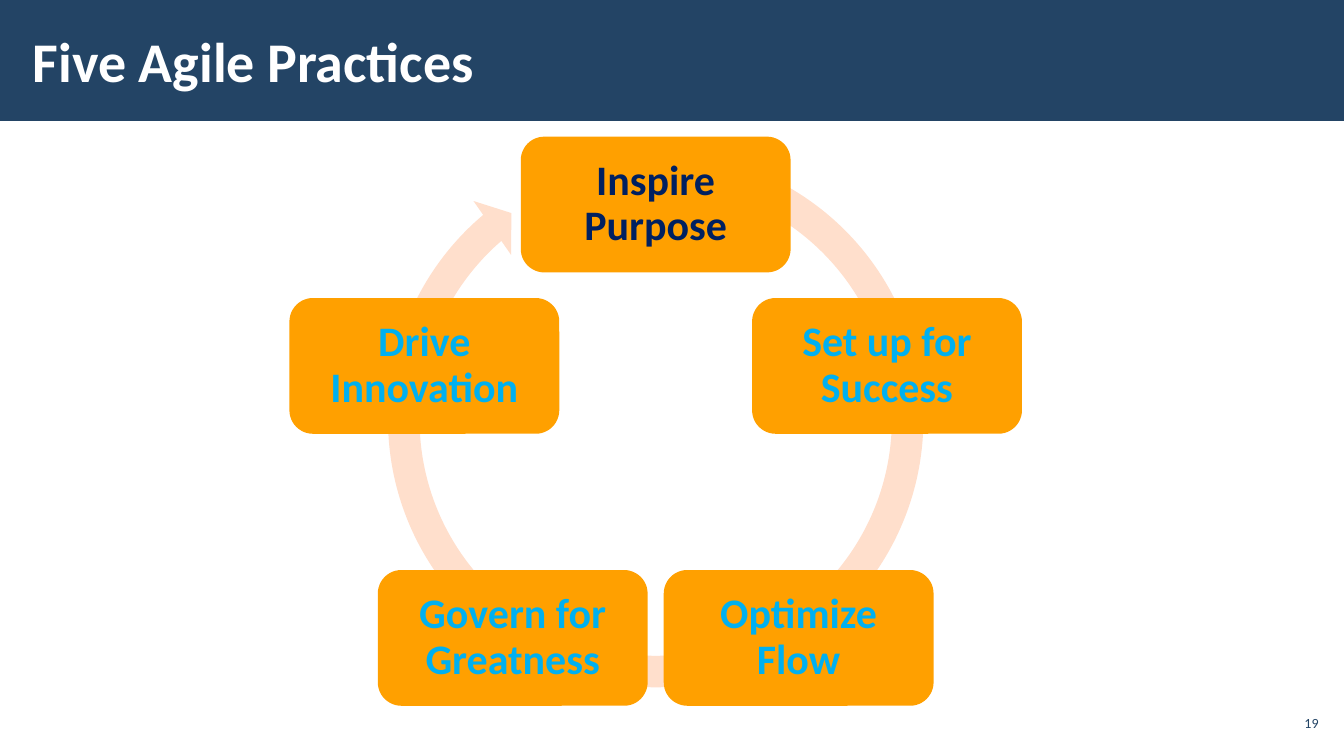
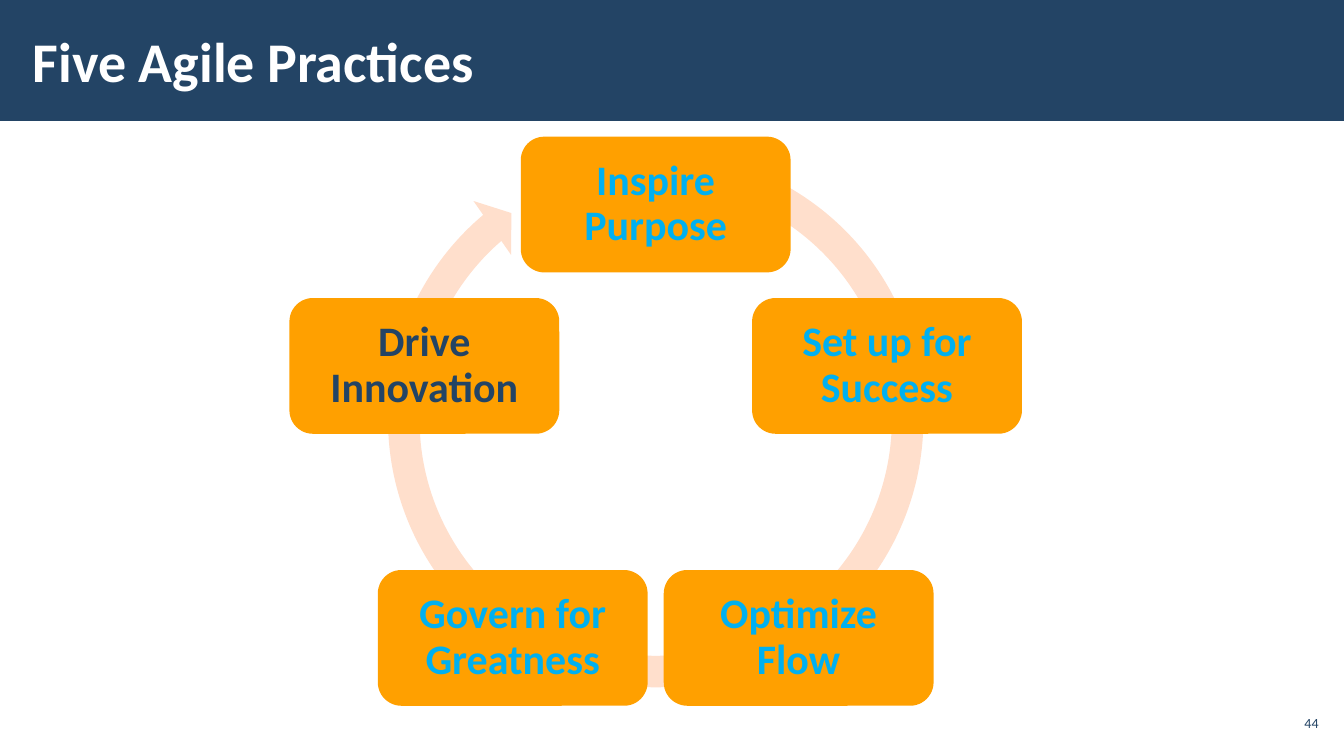
import math

import pptx
import pptx.dml.color
import pptx.enum.shapes
import pptx.enum.text
import pptx.util

Cm = pptx.util.Cm
Pt = pptx.util.Pt
RGBColor = pptx.dml.color.RGBColor
Shape = pptx.enum.shapes.MSO_SHAPE
Align = pptx.enum.text.PP_ALIGN
Anchor = pptx.enum.text.MSO_ANCHOR

SLATE = RGBColor(0x23, 0x44, 0x65)
NAVY = RGBColor(0x00, 0x20, 0x60)
SKY = RGBColor(0x00, 0xB0, 0xF0)
AMBER = RGBColor(0xFF, 0xA0, 0x00)
PEACH = RGBColor(0xFF, 0xDF, 0xCC)
WHITE = RGBColor(0xFF, 0xFF, 0xFF)

FONT = "Calibri"
SLIDE_WIDTH, SLIDE_HEIGHT = Cm(33.87), Cm(19.05)
BAND_HEIGHT = Cm(3.05)
CYCLE_BOX = (Cm(7.33), Cm(3.4), Cm(18.39), Cm(14.35))
CARD_WIDTH, CARD_HEIGHT = Cm(6.73), Cm(3.35)
TOP_MARGIN = Cm(0.08)
ARROW_PERCENTS = (5.54, 330.7, 13773.2, 17387.6, 5.76)

TITLE = "Five Agile Practices"
PRACTICES = (
    "Inspire Purpose",
    "Set up for Success",
    "Optimize Flow",
    "Govern for Greatness",
    "Drive Innovation",
)
SLIDES = (
    {"number": "19", "active": "Inspire Purpose", "active_color": NAVY},
    {"number": "44", "active": "Drive Innovation", "active_color": SLATE},
)

TITLE_STYLE = {
    "size": 40, "bold": True, "color": WHITE, "align": Align.LEFT,
    "spacing": 1.0, "inset_x": Cm(0.3), "inset_y": Cm(0.1),
}
NUMBER_STYLE = {
    "size": 10, "bold": False, "color": SLATE, "align": Align.RIGHT,
    "spacing": 1.0, "inset_x": Cm(0.1), "inset_y": Cm(0.1),
}
CARD_STYLE = {
    "size": 30, "bold": True, "color": SKY, "align": Align.CENTER,
    "spacing": 0.9, "inset_x": Cm(0.3), "inset_y": Cm(0.3),
}


def set_attributes(target, values):
    for name, value in values.items():
        setattr(target, name, value)


def write_text(shape, text, style):
    frame = shape.text_frame
    set_attributes(frame, {
        "word_wrap": True,
        "vertical_anchor": Anchor.MIDDLE,
        "margin_left": style["inset_x"],
        "margin_right": style["inset_x"],
        "margin_top": style["inset_y"],
        "margin_bottom": style["inset_y"],
    })
    paragraph = frame.paragraphs[0]
    set_attributes(paragraph, {
        "alignment": style["align"], "line_spacing": style["spacing"],
    })
    run = paragraph.add_run()
    run.text = text
    set_attributes(run.font, {
        "name": FONT, "size": Pt(style["size"]), "bold": style["bold"],
    })
    run.font.color.rgb = style["color"]


def add_filled_shape(slide, kind, box, color):
    shape = slide.shapes.add_shape(kind, *box)
    shape.shadow.inherit = False
    shape.fill.solid()
    shape.fill.fore_color.rgb = color
    shape.line.fill.background()
    return shape


def add_title_band(slide, box):
    left, top, width, height = box
    add_filled_shape(slide, Shape.RECTANGLE, box, SLATE)
    title = slide.shapes.add_textbox(
        left + Cm(0.53), top + Cm(0.28), Cm(27.53), height - Cm(0.58))
    write_text(title, TITLE, TITLE_STYLE)


def add_page_number(slide, box, number):
    write_text(slide.shapes.add_textbox(*box), number, NUMBER_STYLE)


def add_card(slide, box, text, color):
    card = add_filled_shape(slide, Shape.ROUNDED_RECTANGLE, box, AMBER)
    card.line.color.rgb = AMBER
    card.line.width = Pt(2)
    write_text(card, text, {**CARD_STYLE, "color": color})


def add_cycle(slide, box, active, active_color):
    left, top, width, height = box
    ring_left = left + (width - height) // 2
    ring = add_filled_shape(
        slide, Shape.CIRCULAR_ARROW, (ring_left, top, height, height), PEACH)
    for index, percent in enumerate(ARROW_PERCENTS):
        ring.adjustments[index] = percent / 100

    step = 2 * math.pi / len(PRACTICES)
    radius = (width - CARD_WIDTH) / 2 / math.sin(step)
    center_x = left + width / 2
    center_y = top + height - CARD_HEIGHT / 2 + radius * math.cos(2 * step)
    for index, practice in enumerate(PRACTICES):
        angle = index * step
        card_left = center_x + radius * math.sin(angle) - CARD_WIDTH / 2
        card_top = center_y - radius * math.cos(angle) - CARD_HEIGHT / 2
        card_box = (round(card_left), max(round(card_top), top + TOP_MARGIN),
                    CARD_WIDTH, CARD_HEIGHT)
        color = active_color if practice == active else SKY
        add_card(slide, card_box, practice, color)


def add_practices_slide(presentation, number, active, active_color):
    slide = presentation.slides.add_slide(presentation.slide_layouts[6])
    add_title_band(slide, (0, 0, SLIDE_WIDTH, BAND_HEIGHT))
    add_page_number(slide, (Cm(32.13), Cm(17.78), Cm(1.2), Cm(0.86)), number)
    add_cycle(slide, CYCLE_BOX, active, active_color)


def main():
    presentation = pptx.Presentation()
    set_attributes(presentation, {
        "slide_width": SLIDE_WIDTH, "slide_height": SLIDE_HEIGHT,
    })
    for content in SLIDES:
        add_practices_slide(presentation, **content)
    presentation.save("out.pptx")


if __name__ == "__main__":
    main()
